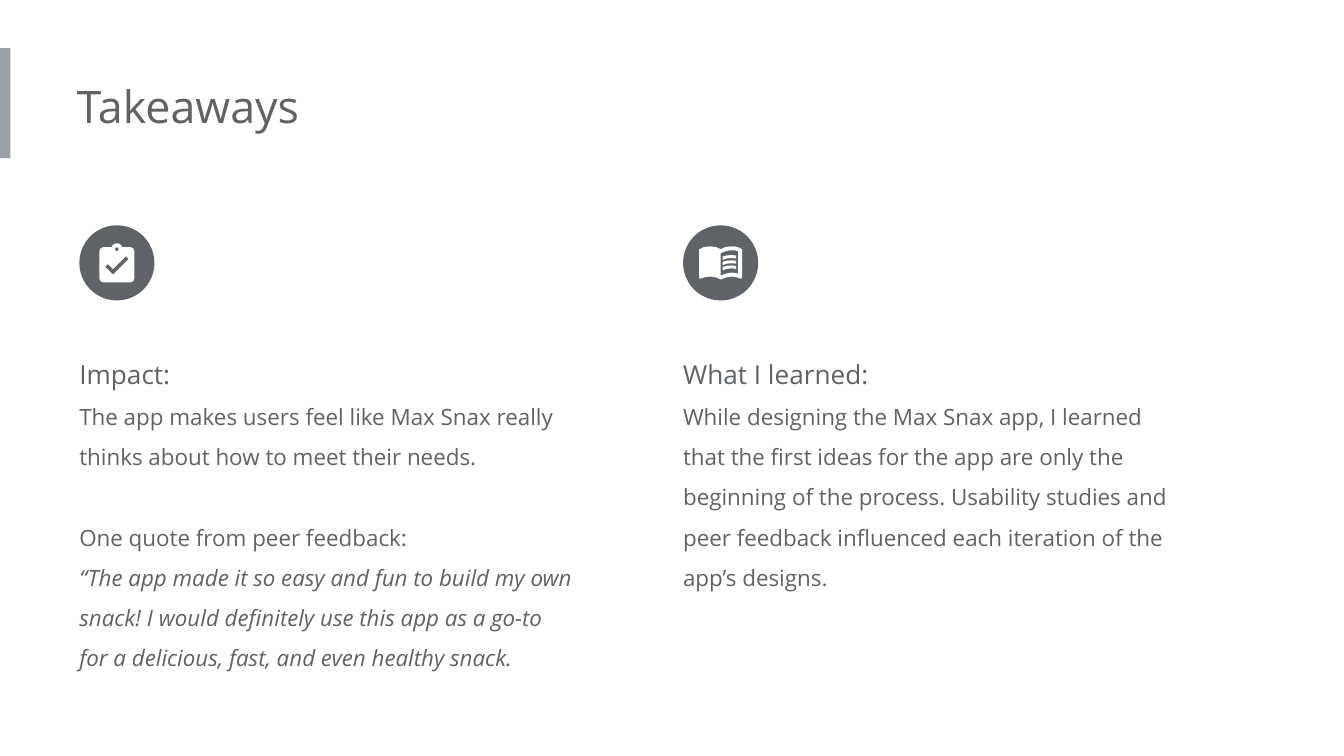
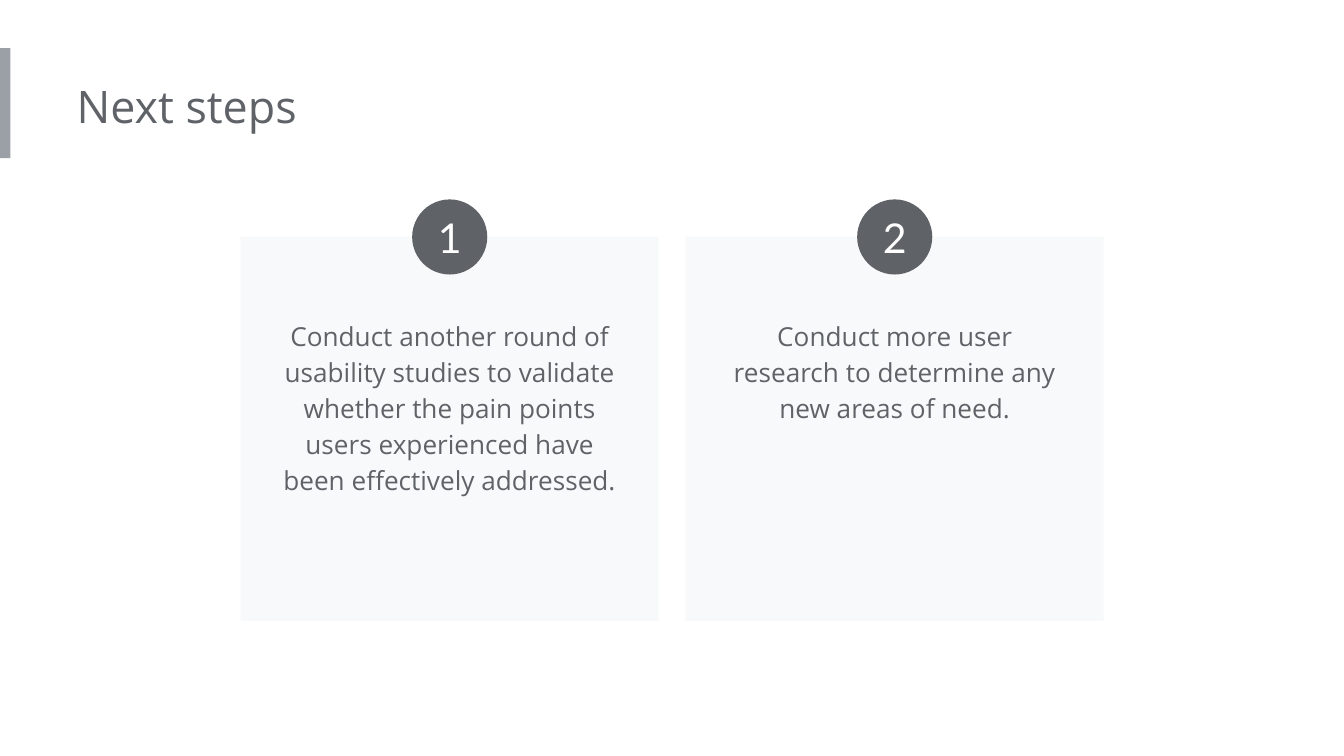
from pptx import Presentation
from pptx.dml.color import RGBColor
from pptx.enum.shapes import MSO_SHAPE
from pptx.enum.text import MSO_ANCHOR, MSO_AUTO_SIZE, PP_ALIGN
from pptx.util import Cm, Pt

# Shared look
GREY, BAND, CARD, WHITE = "5F6368", "9AA0A6", "F8F9FA", "FFFFFF"
BODY_FONT, NUMBER_FONT = "Open Sans", "Lato"
DISC = Cm(1.42)
ICON_UNIT = DISC / 38.5

GROWING = {"word_wrap": True, "auto_size": MSO_AUTO_SIZE.SHAPE_TO_FIT_TEXT,
           "margin_left": 0, "margin_top": Cm(0.25),
           "margin_right": Cm(0.25), "margin_bottom": Cm(0.25)}
PADDED = {**GROWING, "margin_left": Cm(0.25)}
CENTRED = {"word_wrap": True, "vertical_anchor": MSO_ANCHOR.MIDDLE,
           "margin_left": 0, "margin_top": 0, "margin_right": 0, "margin_bottom": 0}

TITLE = {"size": Pt(24), "name": BODY_FONT}
HEADING = {"size": Pt(14), "name": BODY_FONT}
BODY = {"size": Pt(12), "name": BODY_FONT}
QUOTE = {**BODY, "italic": True}
NUMBER = {"size": Pt(22), "name": NUMBER_FONT}

LOOSE = {"line_spacing": 1.5}
AFTER_GAP = {**LOOSE, "space_before": Pt(21.6)}
CARD_LINES = {"line_spacing": 1.15, "alignment": PP_ALIGN.CENTER}

# Icon outlines on a 24-unit grid, centred on the disc
CHECKLIST_CENTRE = (12, 11)
CHECKLIST = [[
    # Board with rounded corners and clip
    [(19, 3), (14.8, 3), (14.2, 2), (13.2, 1.25), (12, 1), (10.8, 1.25),
     (9.8, 2), (9.2, 3), (5, 3), (3.6, 3.6), (3, 5), (3, 19), (3.6, 20.4),
     (5, 21), (19, 21), (20.4, 20.4), (21, 19), (21, 5), (20.4, 3.6)],
    # Hole in the clip
    [(12, 3), (12.7, 3.3), (13, 4), (12.7, 4.7), (12, 5), (11.3, 4.7),
     (11, 4), (11.3, 3.3)],
    # Tick
    [(10, 17), (6, 13), (7.4, 11.6), (10, 14.2), (16.6, 7.6), (18, 9)],
]]


def text_line(y):
    """Curved line of print on the right page of the book."""
    return [[(17.5, y), (15.1, y + 0.2), (13, y + 0.8), (13, y + 2.5),
             (15, y + 1.75), (17.5, y + 1.5), (20, y + 1.75), (20, y + 0.25)]]


BOOK_CENTRE = (12, 13)
BOOK = [[
    # Cover
    [(21, 5), (19.3, 4.6), (17.5, 4.5), (14.4, 4.9), (12, 6), (9.6, 4.9),
     (6.5, 4.5), (3.4, 4.9), (1, 6), (1, 20.6), (1.5, 21.1), (4, 20.3),
     (6.5, 20), (9.6, 20.4), (12, 21.5), (14.6, 20.5), (17.5, 20),
     (20, 20.3), (22.5, 21.1), (23, 20.6), (23, 6)],
    # Right page
    [(21, 18.5), (19.3, 18.1), (17.5, 18), (14.6, 18.5), (12, 19.5), (12, 8),
     (14.6, 7), (17.5, 6.5), (19.3, 6.6), (21, 7)],
]] + [text_line(9 + 2.66 * row) for row in range(3)]

IMPACT = [
    ("Impact:", HEADING, LOOSE),
    ("The app makes users feel like Max Snax really thinks about how to meet "
     "their needs.", BODY, LOOSE),
    ("One quote from peer feedback:", BODY, AFTER_GAP),
    ("“The app made it so easy and fun to build my own snack! I would "
     "definitely use this app as a go-to for a delicious, fast, and even "
     "healthy snack.", QUOTE, LOOSE),
]
LEARNED = [
    ("What I learned:", HEADING, LOOSE),
    ("While designing the Max Snax app, I learned that the first ideas for "
     "the app are only the beginning of the process. Usability studies and "
     "peer feedback influenced each iteration of the app’s designs.", BODY, LOOSE),
]
STEPS = [
    ("Conduct another round of usability studies to validate whether the pain "
     "points users experienced have been effectively addressed.", Cm(3.86)),
    ("Conduct more user research to determine any new areas of need.", Cm(2.49)),
]


def colour(hex_value):
    return RGBColor.from_string(hex_value)


def apply_formats(target, formats):
    for attribute, value in formats.items():
        setattr(target, attribute, value)


def paint(shape, fill):
    shape.shadow.inherit = False
    shape.fill.solid()
    shape.fill.fore_color.rgb = colour(fill)
    shape.line.fill.background()
    return shape


def write(shape, frame_formats, paragraphs, ink=GREY):
    """Fill a shape with (text, font formats, paragraph formats) entries."""
    frame = shape.text_frame
    apply_formats(frame, frame_formats)
    for index, (text, font_formats, line_formats) in enumerate(paragraphs):
        paragraph = frame.add_paragraph() if index else frame.paragraphs[0]
        apply_formats(paragraph, line_formats)
        run = paragraph.add_run()
        run.text = text
        apply_formats(run.font, font_formats)
        run.font.color.rgb = colour(ink)


def add_block(slide, kind, box, fill):
    return paint(slide.shapes.add_shape(kind, *box), fill)


def add_disc(slide, left, top):
    return add_block(slide, MSO_SHAPE.OVAL, (left, top, DISC, DISC), GREY)


def add_icon(slide, left, top, parts, centre):
    """Disc with white outlines whose grid centre is the disc's middle."""
    add_disc(slide, left, top)
    origin = [int(edge + DISC / 2 - mid * ICON_UNIT)
              for edge, mid in zip((left, top), centre)]
    for contours in parts:
        # Ten drawing steps per grid unit keep the decimals
        scaled = [[(x * 10, y * 10) for x, y in contour] for contour in contours]
        pen = slide.shapes.build_freeform(*scaled[0][0], scale=ICON_UNIT / 10)
        for index, contour in enumerate(scaled):
            if index:
                pen.move_to(*contour[0])
            pen.add_line_segments(contour[1:], close=True)
        paint(pen.convert_to_shape(*origin), WHITE)


def add_titled_slide(deck, title):
    slide = deck.slides.add_slide(deck.slide_layouts[6])
    add_block(slide, MSO_SHAPE.RECTANGLE, (0, Cm(0.91), Cm(0.2), Cm(2.08)), BAND)
    heading = slide.shapes.add_textbox(Cm(1.45), Cm(1.24), Cm(13.69), Cm(1.55))
    write(heading, GROWING, [(title, TITLE, {})])
    return slide


def add_takeaway(slide, box, icon, centre, paragraphs):
    left, top, width, height = box
    add_icon(slide, left, top, icon, centre)
    story = slide.shapes.add_textbox(left, top + Cm(1.96), width, height - Cm(1.96))
    write(story, GROWING, paragraphs)


def add_step_card(slide, box, text, text_height):
    left, top, width, height = box
    add_block(slide, MSO_SHAPE.RECTANGLE, box, CARD)
    text_width = Cm(6.88)
    step = slide.shapes.add_textbox(left + (width - text_width) // 2,
                                    top + Cm(1.24), text_width, text_height)
    write(step, PADDED, [(text, HEADING, CARD_LINES)])


def add_step_number(slide, box, number):
    """Numbered disc centred on the card's top edge."""
    left, top, width, height = box
    badge = add_disc(slide, left + (width - DISC) // 2, top - DISC // 2)
    write(badge, CENTRED, [(str(number), NUMBER, {"alignment": PP_ALIGN.CENTER})], WHITE)


def takeaways_slide(deck):
    slide = add_titled_slide(deck, "Takeaways")
    top, width = Cm(4.26), Cm(9.58)
    add_takeaway(slide, (Cm(1.5), top, width, Cm(9.53)),
                 CHECKLIST, CHECKLIST_CENTRE, IMPACT)
    add_takeaway(slide, (Cm(12.91), top, width, Cm(7.22)),
                 BOOK, BOOK_CENTRE, LEARNED)


def next_steps_slide(deck):
    slide = add_titled_slide(deck, "Next steps")
    width, gap = Cm(7.9), Cm(0.51)
    for index, (text, text_height) in enumerate(STEPS):
        box = (Cm(4.55) + index * (width + gap), Cm(4.48), width, Cm(7.26))
        add_step_card(slide, box, text, text_height)
        add_step_number(slide, box, index + 1)


def main():
    deck = Presentation()
    deck.slide_width, deck.slide_height = Cm(25.4), Cm(14.29)
    takeaways_slide(deck)
    next_steps_slide(deck)
    deck.save("out.pptx")


if __name__ == "__main__":
    main()
